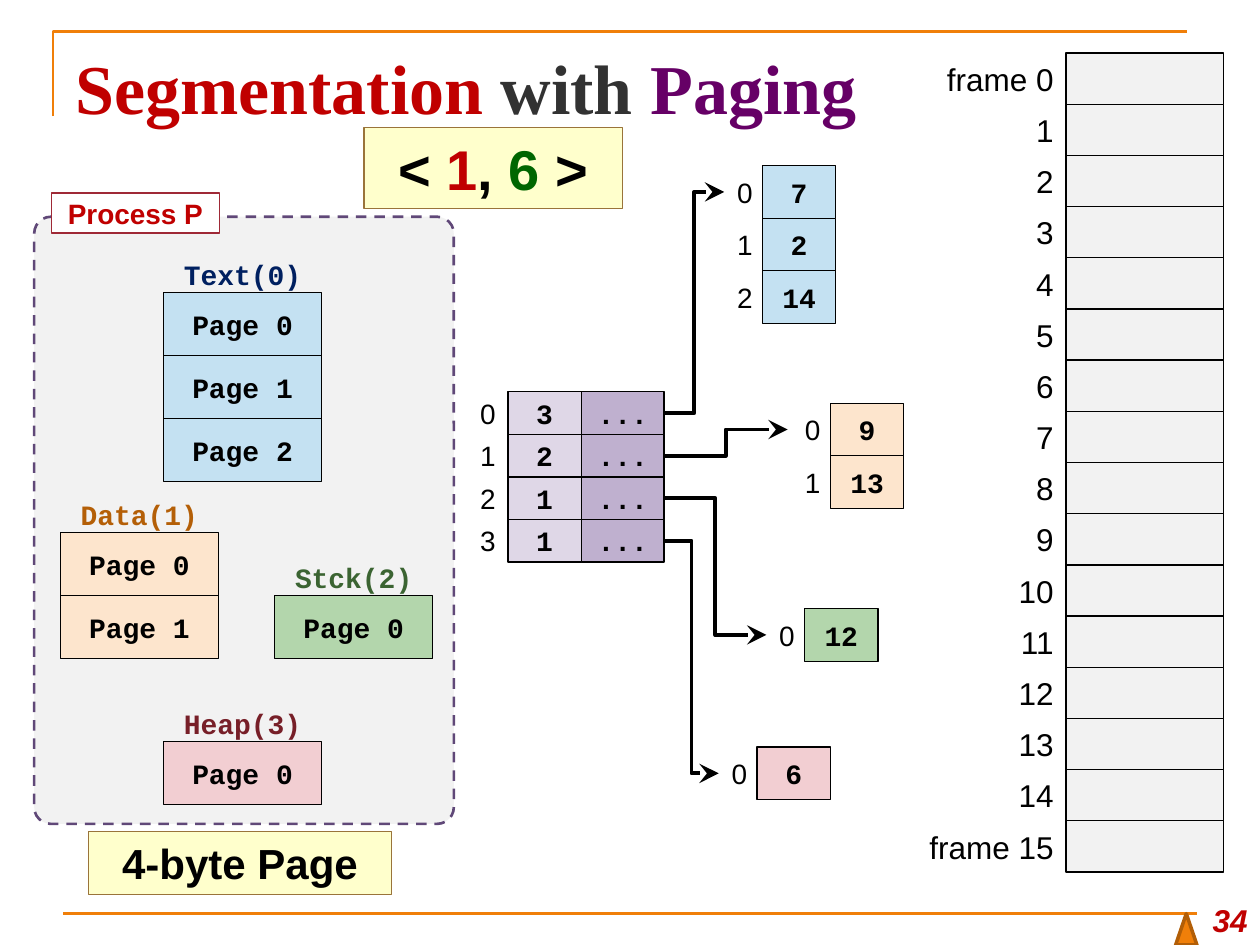
from lxml.etree import SubElement
from pptx import Presentation
from pptx.dml.color import RGBColor
from pptx.enum.dml import MSO_LINE
from pptx.enum.shapes import MSO_CONNECTOR, MSO_SHAPE
from pptx.enum.text import MSO_ANCHOR, PP_ALIGN
from pptx.oxml.ns import qn
from pptx.util import Cm, Pt

HUES = {
    "black": "000000", "white": "FFFFFF", "grey": "F2F2F2", "ink": "323232",
    "orange": "F07F09", "rust": "B25E07", "red": "C00000", "wine": "9F2936",
    "plum": "660066", "violet": "604878", "lilac": "DFD7E7", "mauve": "BFB0CF",
    "cream": "FFFFCC", "tan": "9A743A", "leaf": "006600",
    "blue": "C4E1F2", "navy": "002060", "peach": "FDE5CD", "brown": "B45F07",
    "green": "B3D6AC", "moss": "3B6432", "pink": "F2CED2", "dark": "771F28",
}
FONTS = {
    "title": {"name": "Times New Roman", "size": Pt(40), "bold": True},
    "code": {"name": "Courier New", "size": Pt(16), "bold": True},
    "index": {"name": "Arial", "size": Pt(16), "bold": False},
    "frame": {"name": "Arial", "size": Pt(18), "bold": False},
    "tag": {"name": "Arial", "size": Pt(16), "bold": True},
    "pair": {"name": "Arial", "size": Pt(32), "bold": True},
    "note": {"name": "Arial", "size": Pt(24), "bold": True},
    "folio": {"name": "Arial", "size": Pt(18), "bold": True, "italic": True},
}
SEGMENTS = [
    ("Text(0)", "navy", "blue", 3, 2.61, 0.8),
    ("Data(1)", "brown", "peach", 2, 0.53, 5.64),
    ("Stck(2)", "moss", "green", 1, 4.85, 6.91),
    ("Heap(3)", "dark", "pink", 1, 2.61, 9.85),
]
SIZES = [3, 2, 1, 1]
PAGES = [
    ((14.6, 3.34, 2.25, 3.18), [7, 2, 14], "blue"),
    ((15.88, 8.13, 2.34, 2.12), [9, 13], "peach"),
    ((15.45, 12.27, 2.25, 1.06), [12], "green"),
    ((14.49, 15.06, 2.25, 1.06), [6], "pink"),
]


def tint(color, hue):
    color.rgb = RGBColor.from_string(HUES[hue])


def stroke(line, hue, width=0.75):
    tint(line.color, hue)
    line.width = Pt(width)


def write(shape, runs, style, align=PP_ALIGN.CENTER, inset=0):
    frame = shape.text_frame
    form = {"word_wrap": True, "vertical_anchor": MSO_ANCHOR.MIDDLE,
            "margin_left": 0, "margin_right": Cm(inset),
            "margin_top": 0, "margin_bottom": 0}
    for key, value in form.items():
        setattr(frame, key, value)
    para = frame.paragraphs[0]
    para.alignment = align
    for text, hue in runs:
        run = para.add_run()
        run.text = text
        for key, value in FONTS[style].items():
            setattr(run.font, key, value)
        tint(run.font.color, hue)


def block(slide, box, fill, edge="black", kind=MSO_SHAPE.RECTANGLE, width=0.75):
    shape = slide.shapes.add_shape(kind, *map(Cm, box))
    shape.shadow.inherit = False
    shape.fill.solid()
    tint(shape.fill.fore_color, fill)
    stroke(shape.line, edge, width)
    return shape


def cell(slide, box, text, fill):
    write(block(slide, box, fill), [(text, "black")], "code")


def label(slide, box, text, style, hue="black", align=PP_ALIGN.RIGHT, inset=0.25):
    shape = slide.shapes.add_textbox(*map(Cm, box))
    write(shape, [(text, hue)], style, align, inset)
    return shape


def flat(link):
    SubElement(link._element.spPr, qn("a:effectLst"))


def arrow(slide, start, end):
    link = slide.shapes.add_connector(MSO_CONNECTOR.ELBOW, *map(Cm, start + end))
    stroke(link.line, "black", 2.25)
    line = link._element.spPr.find(qn("a:ln"))
    SubElement(line, qn("a:tailEnd"), type="stealth", w="lg", len="lg")
    flat(link)


def rules(slide, box):
    x, y, w, h = box
    pen = slide.shapes.build_freeform(Cm(x), Cm(y + 1.7))
    pen.add_line_segments([(Cm(x), Cm(y)), (Cm(x + w), Cm(y))], close=False)
    bend = pen.convert_to_shape()
    bend.shadow.inherit = False
    bend.fill.background()
    stroke(bend.line, "orange", 1.5)
    ends = (x + 0.2, y + h, x + w + 0.2, y + h)
    base = slide.shapes.add_connector(MSO_CONNECTOR.STRAIGHT, *map(Cm, ends))
    stroke(base.line, "orange", 1.5)
    flat(base)


def heading(slide, box):
    title = slide.shapes.title
    for key, value in zip(("left", "top", "width", "height"), box):
        setattr(title, key, Cm(value))
    runs = [("Segmentation ", "red"), ("with ", "ink"), ("Paging", "plum")]
    write(title, runs, "title", PP_ALIGN.LEFT)


def segment(slide, box, name, hue, fill, count):
    x, y, w, h = box
    label(slide, (x, y, w, 0.73), name, "code", hue, PP_ALIGN.CENTER, 0)
    for i in range(count):
        cell(slide, (x, y + 0.73 + i * h, w, h), f"Page {i}", fill)


def process(slide, box):
    x, y, w, h = box
    panel = block(slide, box, "grey", "violet", MSO_SHAPE.ROUNDED_RECTANGLE, 1.5)
    panel.adjustments[0] = 0.04
    panel.line.dash_style = MSO_LINE.DASH
    tag = block(slide, (x + 0.35, y - 0.48, 3.38, 0.81), "white", "wine")
    write(tag, [("Process P", "red")], "tag")
    for name, hue, fill, count, dx, dy in SEGMENTS:
        segment(slide, (x + dx, y + dy, 3.18, 1.27), name, hue, fill, count)


def lookup(slide, box):
    x, y, w, h = box
    step = h / len(SIZES)
    for i, size in enumerate(SIZES):
        top = y + i * step
        label(slide, (x, top, 1.27, step), str(i), "index")
        cell(slide, (x + 1.27, top, 1.48, step), str(size), "lilac")
        cell(slide, (x + 2.75, top, w - 2.75, step), "...", "mauve")


def pages(slide, box, values, fill):
    x, y, w, h = box
    step = h / len(values)
    side = w - 1.48
    for i, value in enumerate(values):
        top = y + i * step
        label(slide, (x, top, side, step), str(i), "index", inset=0.2)
        cell(slide, (x + side, top, 1.48, step), str(value), fill)


def memory(slide, box):
    x, y, w, h = box
    step, half = h / 16, w / 2
    for i in range(16):
        top = y + i * step
        text = f"frame {i}" if i in (0, 15) else str(i)
        label(slide, (x, top, half, step), text, "frame")
        block(slide, (x + half, top, half, step), "grey")


def footer(slide, box):
    x, y, w, h = box
    block(slide, (x - 0.23, y + 0.64, 0.43, 0.63), "orange", "rust",
          MSO_SHAPE.ISOSCELES_TRIANGLE, 2)
    folio = label(slide, box, "34", "folio", "red")
    folio.text_frame.vertical_anchor = MSO_ANCHOR.BOTTOM
    folio.text_frame.margin_bottom = Cm(0.13)


def notes(slide):
    pair = [("< ", "black"), ("1", "red"), (", ", "black"),
            ("6", "leaf"), (" >", "black")]
    write(block(slide, (7.34, 2.57, 5.21, 1.63), "cream", "tan"), pair, "pair")
    size = block(slide, (1.78, 16.76, 6.12, 1.27), "cream", "tan")
    write(size, [("4-byte Page", "black")], "note")


def main():
    deck = Presentation()
    deck.slide_width, deck.slide_height = Cm(25.4), Cm(19.05)
    slide = deck.slides.add_slide(deck.slide_layouts[5])
    rules(slide, (1.07, 0.64, 22.86, 17.78))
    heading(slide, (1.52, 0.76, 17, 1.98))
    process(slide, (0.69, 4.37, 8.46, 12.24))
    x, y, w, h = table = (8.97, 7.9, 4.42, 3.43)
    lookup(slide, table)
    memory(slide, (18.31, 1.07, 6.36, 16.51))
    for i, (box, values, fill) in enumerate(PAGES):
        pages(slide, box, values, fill)
        arrow(slide, (x + w, y + (i + 0.5) * h / 4), (box[0], box[1] + 0.53))
    notes(slide)
    footer(slide, (23.93, 17.78, 1.47, 1.27))
    deck.save("out.pptx")


if __name__ == "__main__":
    main()
